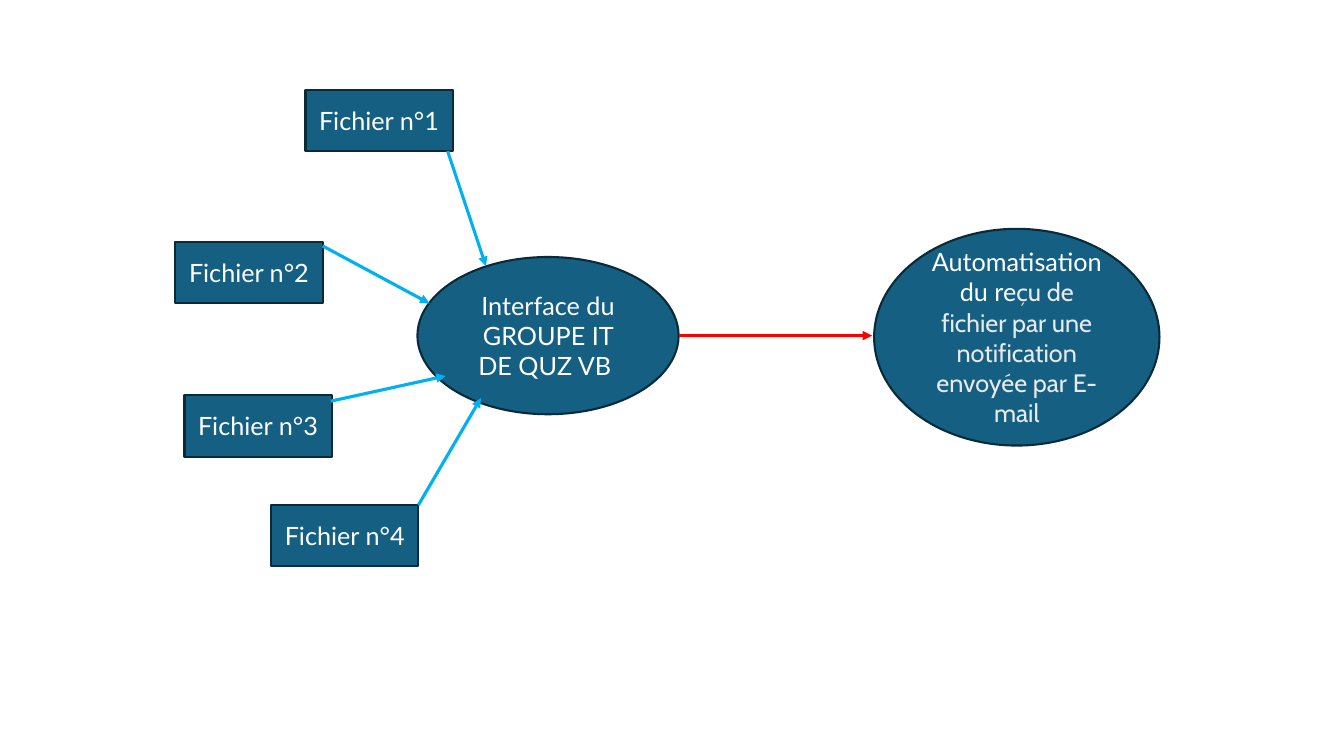
from lxml import etree
from pptx import Presentation
from pptx.dml.color import RGBColor
from pptx.enum.shapes import MSO_CONNECTOR, MSO_SHAPE
from pptx.enum.text import MSO_ANCHOR, PP_ALIGN
from pptx.oxml.ns import qn
from pptx.util import Inches, Pt

RECTANGLE = MSO_SHAPE.RECTANGLE
OVAL = MSO_SHAPE.OVAL
STRAIGHT = MSO_CONNECTOR.STRAIGHT
MIDDLE = MSO_ANCHOR.MIDDLE
CENTER = PP_ALIGN.CENTER

COLORS = {
    "node": "156082",
    "outline": "092A39",
    "text": "FFFFFF",
    "soft_text": "E8EAED",
    "input": "00B0F0",
    "output": "FF0000",
}
FILE_SIZE = (1.46, 0.61)
INTERFACE_BOX = (4.14, 2.55, 2.59, 1.56)
NOTIFICATION_BOX = (8.67, 2.27, 2.83, 2.15)

FILES = [
    ("Fichier n°1", (3.03, 0.89), (1.41, 0.61), (0.68, 0.09)),
    ("Fichier n°2", (1.74, 2.40), (1.46, 0.04), (0.12, 0.46)),
    ("Fichier n°3", (1.83, 3.92), (1.45, 0.06), (0.28, 1.18)),
    ("Fichier n°4", (2.69, 5.01), (1.46, 0.00), (0.63, 1.40)),
]


def color(name):
    """Return the named colour."""
    return RGBColor.from_string(COLORS[name])


def add_node(slide, kind, box, runs):
    """Add a filled shape with centred text made of (text, font, colour) runs."""
    shape = slide.shapes.add_shape(kind, *map(Inches, box))
    shape.shadow.inherit = False
    shape.fill.solid()
    shape.fill.fore_color.rgb = color("node")
    shape.line.color.rgb = color("outline")
    shape.line.width = Pt(1.5)
    frame_format = {"word_wrap": True, "vertical_anchor": MIDDLE}
    for name, value in frame_format.items():
        setattr(shape.text_frame, name, value)
    paragraph = shape.text_frame.paragraphs[0]
    paragraph.alignment = CENTER
    for text, font_name, text_color in runs:
        run = paragraph.add_run()
        run.text = text
        for name, value in {"name": font_name, "size": Pt(18)}.items():
            setattr(run.font, name, value)
        run.font.color.rgb = color(text_color)


def add_arrow(slide, start, end, color_name):
    """Add a straight arrow between two points."""
    connector = slide.shapes.add_connector(STRAIGHT, *map(Inches, (*start, *end)))
    connector.line.color.rgb = color(color_name)
    connector.line.width = Pt(2.25)
    etree.SubElement(connector.line._get_or_add_ln(), qn("a:tailEnd"), type="triangle")
    etree.SubElement(connector._element.spPr, qn("a:effectLst"))


def add_interface(slide, box):
    """Add the central interface."""
    add_node(slide, OVAL, box, [("Interface du GROUPE IT DE QUZ VB ", "Lato", "text")])


def add_files(slide, interface_box):
    """Add the files and their arrows into the interface box."""
    left, top = interface_box[:2]
    for label, (file_left, file_top), (start_x, start_y), (end_x, end_y) in FILES:
        add_node(slide, RECTANGLE, (file_left, file_top, *FILE_SIZE), [(label, "Lato", "text")])
        start = (file_left + start_x, file_top + start_y)
        add_arrow(slide, start, (left + end_x, top + end_y), "input")


def add_notification(slide, box, interface_box):
    """Add the notification and the arrow reaching it from the interface."""
    add_node(slide, OVAL, box, [
        ("Automatisation du re", "Lato", "text"),
        ("çu de fichier par une notification envoyée par E-mail", "Cabin", "soft_text"),
    ])
    left, top, width, height = interface_box
    middle = top + height / 2
    add_arrow(slide, (left + width, middle), (box[0] - 0.02, middle), "output")


def main():
    """Build and save the slide."""
    presentation = Presentation()
    presentation.slide_width = Inches(13.33)
    presentation.slide_height = Inches(7.5)
    slide = presentation.slides.add_slide(presentation.slide_layouts[6])
    add_interface(slide, INTERFACE_BOX)
    add_files(slide, INTERFACE_BOX)
    add_notification(slide, NOTIFICATION_BOX, INTERFACE_BOX)
    presentation.save("out.pptx")


if __name__ == "__main__":
    main()
